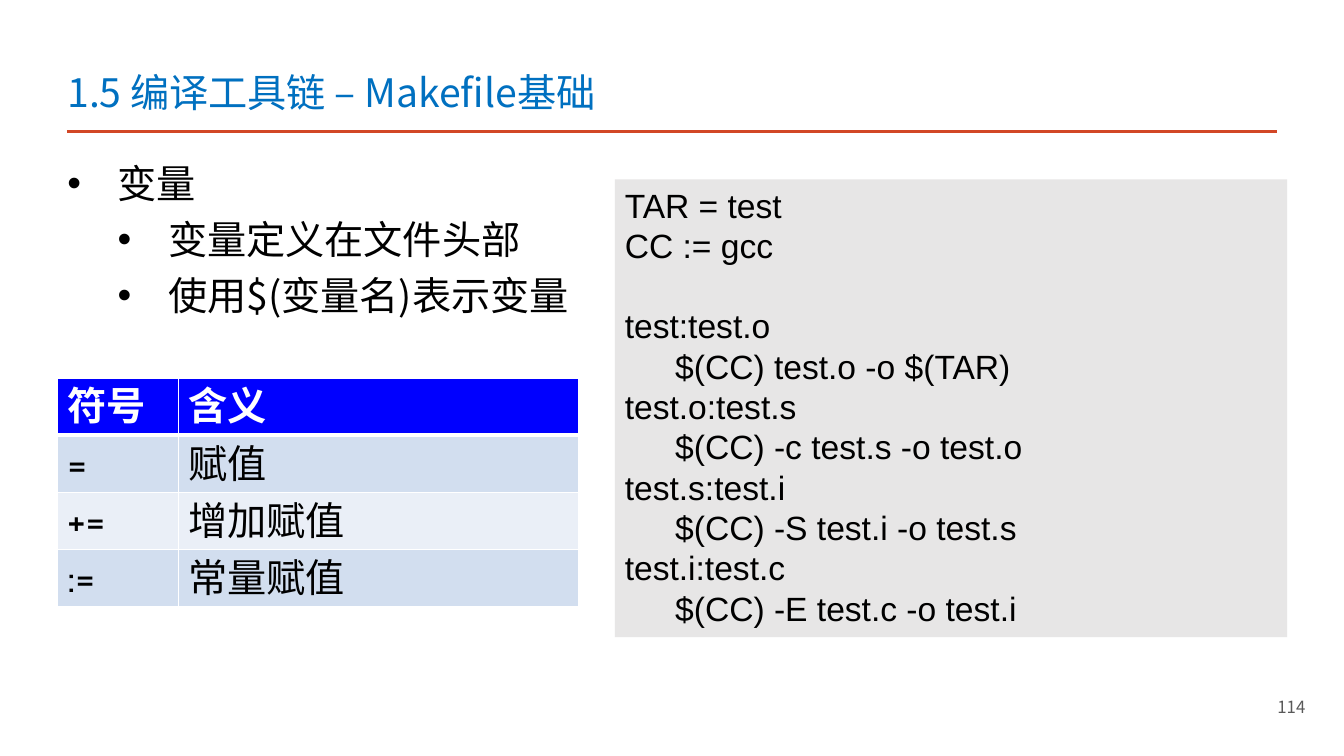
from dataclasses import dataclass
from typing import Optional

from lxml.etree import SubElement
from pptx import Presentation
from pptx.dml.color import RGBColor
from pptx.enum.shapes import MSO_CONNECTOR, MSO_SHAPE
from pptx.enum.text import MSO_ANCHOR, PP_ALIGN
from pptx.oxml.ns import qn
from pptx.util import Pt


@dataclass(frozen=True)
class Theme:
    title: str = "0070C0"
    rule: str = "D24726"
    ink: str = "000000"
    muted: str = "595959"
    code: str = "E7E6E6"
    head: str = "0000FF"
    bands: tuple = ("D2DEEF", "EAEFF7")
    white: str = "FFFFFF"
    sans: str = "Noto Sans CJK SC"
    mono: str = "Arial"
    cell: str = "Cabin"
    big: int = 28
    mid: int = 24
    small: int = 12


@dataclass(frozen=True)
class Line:
    text: str
    level: int = 0
    bullet: bool = False
    pitch: Optional[float] = None
    before: float = 0
    align: PP_ALIGN = PP_ALIGN.LEFT


@dataclass(frozen=True)
class Face:
    font: str
    size: int
    color: str
    bold: bool = False


@dataclass(frozen=True)
class Box:
    left: float
    top: float
    width: float
    height: float

    def pts(self) -> tuple:
        return Pt(self.left), Pt(self.top), Pt(self.width), Pt(self.height)


THEME = Theme()
PITCH = 28.8
INDENT = 36
CODE = """TAR = test
CC := gcc

test:test.o
\t$(CC) test.o -o $(TAR)
test.o:test.s
\t$(CC) -c test.s -o test.o
test.s:test.i
\t$(CC) -S test.i -o test.s
test.i:test.c
\t$(CC) -E test.c -o test.i"""
POINTS = [
    Line("变量", 0, True, 40),
    Line("变量定义在文件头部", 1, True, 40),
    Line("使用$(变量名)表示变量", 1, True, 40),
]
ROWS = [("符号", "含义"), ("=", "赋值"), ("+=", "增加赋值"), (":=", "常量赋值")]


def code_lines(code: str) -> list[Line]:
    """Turn each blank line of the code into space before the next line."""
    lines, gap = [], 0.0
    for text in code.split("\n"):
        if text:
            lines.append(Line(text, pitch=PITCH, before=gap))
            gap = 0.0
        else:
            gap += PITCH
    return lines


def add_bullet(para, level: int) -> None:
    props = para._p.get_or_add_pPr()
    props.set("marL", str(Pt(INDENT * (level + 1))))
    props.set("indent", str(Pt(-INDENT)))
    SubElement(props, qn("a:buFont")).set("typeface", THEME.mono)
    SubElement(props, qn("a:buChar")).set("char", "•")


def write(frame, lines: list[Line], face: Face) -> None:
    for i, line in enumerate(lines):
        para = frame.paragraphs[0] if i == 0 else frame.add_paragraph()
        if line.bullet:
            add_bullet(para, line.level)
        form = {"level": line.level, "alignment": line.align}
        if line.pitch:
            form["line_spacing"] = Pt(line.pitch)
        if line.before:
            form["space_before"] = Pt(line.before)
        for name, value in form.items():
            setattr(para, name, value)
        run = para.add_run()
        run.text = line.text
        form = {"name": face.font, "size": Pt(face.size), "bold": face.bold}
        for name, value in form.items():
            setattr(run.font, name, value)
        run.font.color.rgb = RGBColor.from_string(face.color)
        SubElement(run._r.get_or_add_rPr(), qn("a:ea")).set("typeface", face.font)


def add_text(slide, box: Box, lines: list[Line], face: Face,
             anchor: MSO_ANCHOR = MSO_ANCHOR.TOP) -> None:
    frame = slide.shapes.add_textbox(*box.pts()).text_frame
    frame.word_wrap = True
    frame.vertical_anchor = anchor
    write(frame, lines, face)


def add_code(slide, box: Box) -> None:
    panel = slide.shapes.add_shape(MSO_SHAPE.RECTANGLE, *box.pts())
    panel.shadow.inherit = False
    panel.fill.solid()
    panel.fill.fore_color.rgb = RGBColor.from_string(THEME.code)
    panel.line.fill.background()
    frame = panel.text_frame
    frame.word_wrap = True
    frame.vertical_anchor = MSO_ANCHOR.TOP
    write(frame, code_lines(CODE), Face(THEME.mono, THEME.mid, THEME.ink))


def add_rule(slide, left: float, right: float, top: float) -> None:
    rule = slide.shapes.add_connector(
        MSO_CONNECTOR.STRAIGHT, Pt(left), Pt(top), Pt(right), Pt(top))
    rule.line.width = Pt(2)
    rule.line.color.rgb = RGBColor.from_string(THEME.rule)
    SubElement(rule._element.spPr, qn("a:effectLst"))


def add_edge(cell, side: str, width: float) -> None:
    edge = SubElement(cell._tc.get_or_add_tcPr(), qn(f"a:{side}"))
    edge.set("w", str(Pt(width)))
    fill = SubElement(edge, qn("a:solidFill"))
    SubElement(fill, qn("a:srgbClr")).set("val", THEME.white)


def add_grid(slide, box: Box, widths: tuple) -> None:
    grid = slide.shapes.add_table(len(ROWS), len(widths), *box.pts()).table
    for col, width in zip(grid.columns, widths):
        col.width = Pt(width)
    for r, texts in enumerate(ROWS):
        grid.rows[r].height = Pt(box.height / len(ROWS))
        head = r == 0
        fill = THEME.head if head else THEME.bands[(r - 1) % 2]
        ink = THEME.white if head else THEME.ink
        for c, text in enumerate(texts):
            cell = grid.cell(r, c)
            top = 3 if r == 1 else 1
            low = 3 if head else 1
            for side, width in {"lnL": 1, "lnR": 1, "lnT": top, "lnB": low}.items():
                add_edge(cell, side, width)
            cell.fill.solid()
            cell.fill.fore_color.rgb = RGBColor.from_string(fill)
            write(cell.text_frame, [Line(text)],
                  Face(THEME.cell, THEME.big, ink, head))


def main() -> None:
    deck = Presentation()
    deck.slide_width, deck.slide_height = Pt(960), Pt(540)
    slide = deck.slides.add_slide(deck.slide_layouts[6])
    add_rule(slide, 47.75, 912.25, 94)
    add_text(slide, Box(41, 35.3, 541.5, 50.4), [Line("1.5 编译工具链 – Makefile基础")],
             Face(THEME.sans, THEME.big, THEME.title), MSO_ANCHOR.BOTTOM)
    add_text(slide, Box(659.5, 490, 280, 29), [Line("114", align=PP_ALIGN.RIGHT)],
             Face(THEME.sans, THEME.small, THEME.muted), MSO_ANCHOR.MIDDLE)
    add_text(slide, Box(41, 103.7, 827, 125.3), POINTS,
             Face(THEME.sans, THEME.big, THEME.ink))
    add_code(slide, Box(439.2, 128.2, 480.2, 326.9))
    add_grid(slide, Box(41, 270, 372.2, 163.2), (86.4, 285.8))
    deck.save("out.pptx")


if __name__ == "__main__":
    main()
